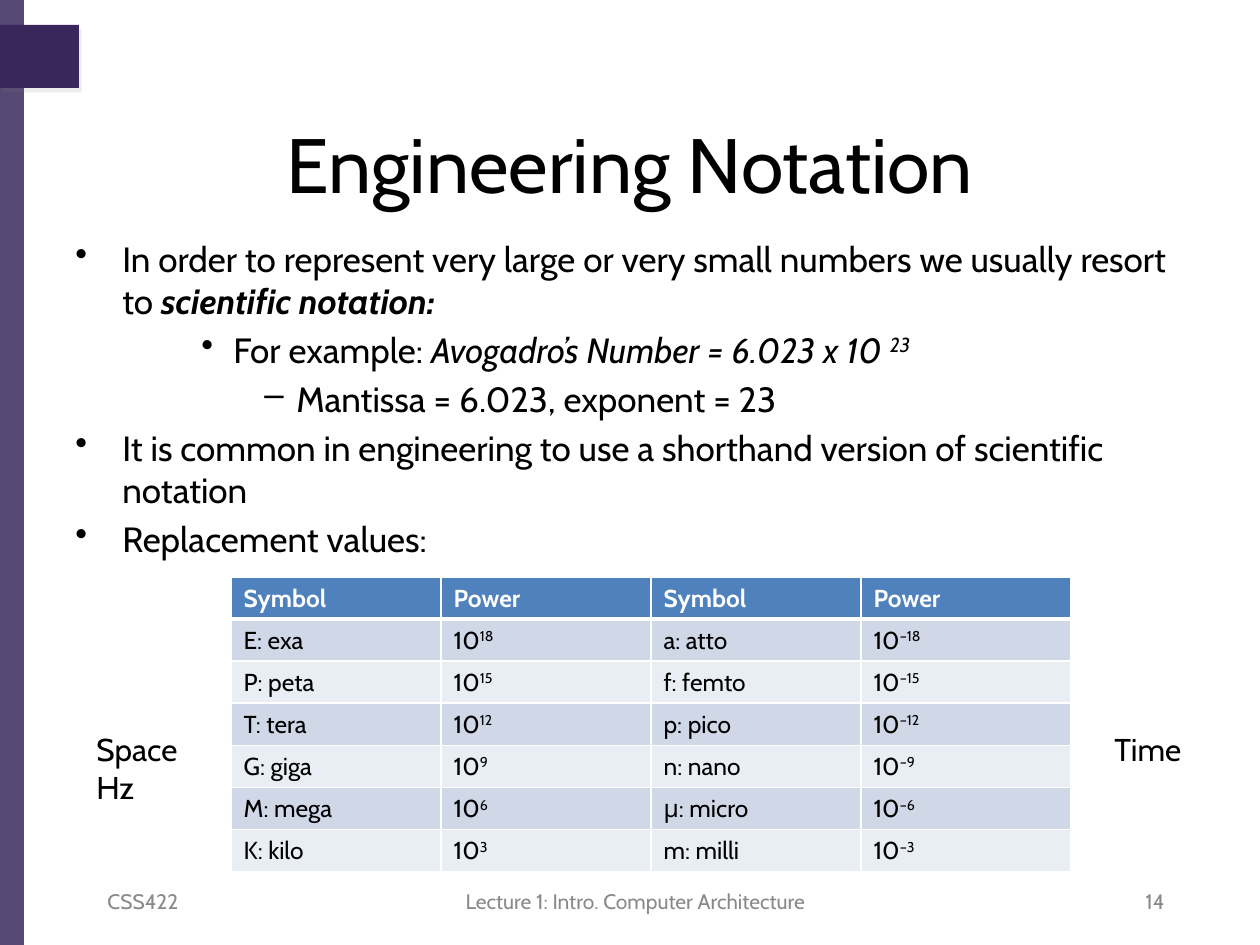
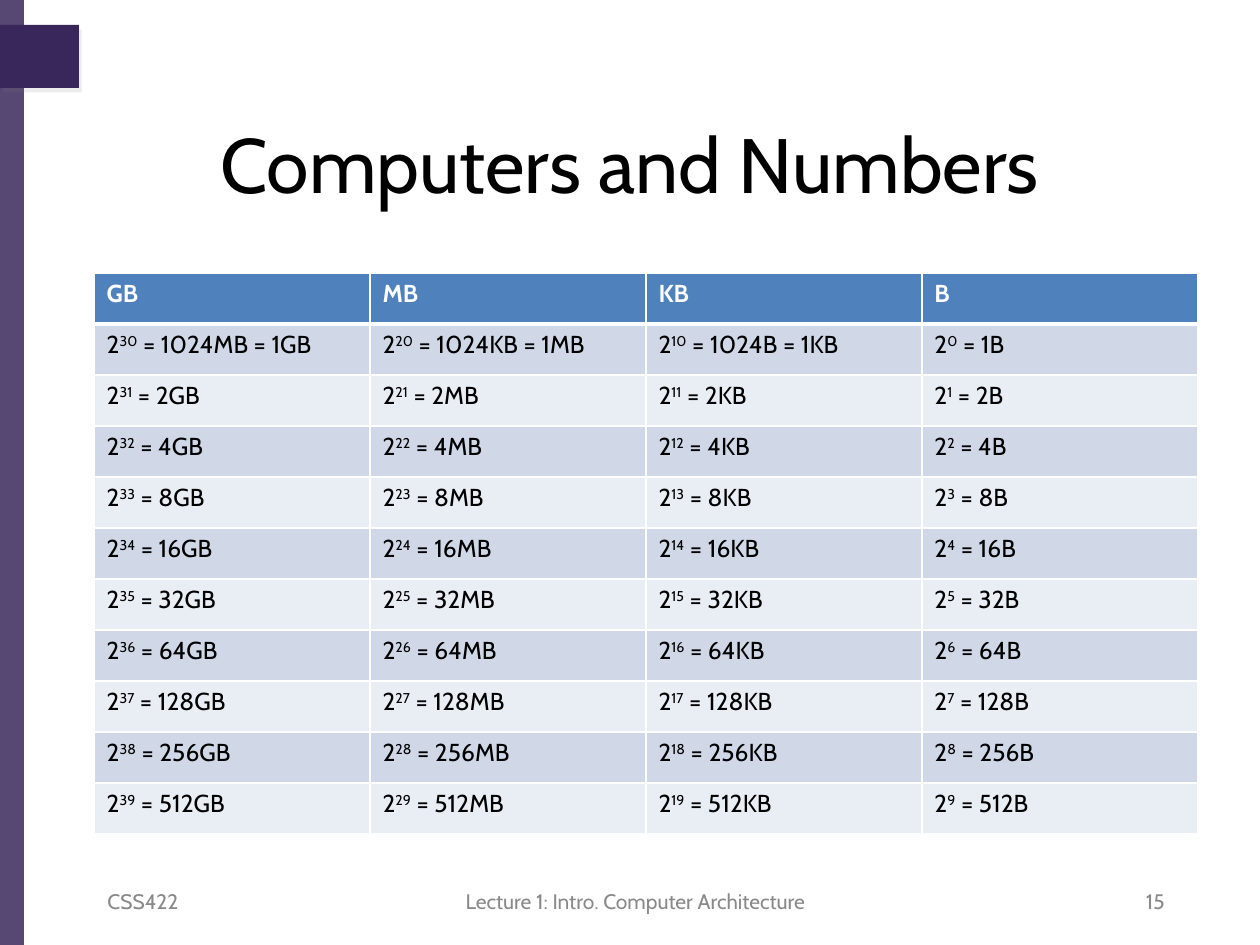
"""Build two lecture slides on engineering notation and powers of two."""
from lxml.etree import SubElement
from pptx import Presentation
from pptx.dml.color import RGBColor
from pptx.enum.shapes import MSO_SHAPE
from pptx.enum.text import MSO_ANCHOR, MSO_AUTO_SIZE, PP_ALIGN
from pptx.oxml.ns import qn
from pptx.util import Emu, Pt

EMU_PER_PX = 914400 / 126
SLIDE_WIDTH, SLIDE_HEIGHT = 1260, 945

FONT = "Cabin"
PURPLE, BLACK, WHITE, GREY = "39275B", "000000", "FFFFFF", "898989"
HEADER_FILL, BAND_FILLS = "4F81BD", ("D0D8E8", "E9EDF4")

TITLE_BOX = (63, 105, 1134, 116)
BODY_BOX = (63, 231, 1134, 346)
FOOTER_TOP, FOOTER_HEIGHT = 876, 50
COURSE, LECTURE = "CSS422", "Lecture 1: Intro. Computer Architecture"

ITALIC = {"italic": True}
BOLD_ITALIC = {"bold": True, "italic": True}
LEVELS = [("•", 47, -47), ("•", 158, -32), ("–", 221, -32)]
NOTATION_POINTS = [
    (0, [("In order to represent very large or very small numbers we usually resort to ", {}),
         ("scientific notation:", BOLD_ITALIC)]),
    (1, [("For example: ", {}), ("Avogadro’s Number = 6.023 x 10 ^23", ITALIC)]),
    (2, [("Mantissa = 6.023, exponent = 23", {})]),
    (0, [("It is common in engineering to use a shorthand version of scientific notation", {})]),
    (0, [("Replacement values:", {})]),
]
SIDE_LABELS = [((84, 724, 116, 90), ["Space", "Hz"]), ((1102, 724, 95, 50), ["Time"])]

PREFIXES = [
    (18, "E: exa", "a: atto"),
    (15, "P: peta", "f: femto"),
    (12, "T: tera", "p: pico"),
    (9, "G: giga", "n: nano"),
    (6, "M: mega", "μ: micro"),
    (3, "K: kilo", "m: milli"),
]
PREFIX_ROWS = [["Symbol", "Power"] * 2] + [
    [large, f"10^{power}^", small, f"10^–{power}^"] for power, large, small in PREFIXES
]

UNITS = [("GB", 30, " = 1024MB"), ("MB", 20, " = 1024KB"), ("KB", 10, " = 1024B"), ("B", 0, "")]
MEMORY_ROWS = [[unit for unit, _, _ in UNITS]] + [
    [f"2^{base + step}^{'' if step else smaller} = {2 ** step}{unit}" for unit, base, smaller in UNITS]
    for step in range(10)
]


def px(length):
    return Emu(round(length * EMU_PER_PX))


def color(value):
    return RGBColor.from_string(value)


def set_attributes(target, values):
    for name, value in values.items():
        setattr(target, name, value)


def add_runs(paragraph, text, size, text_color, styles=None):
    for index, part in enumerate(text.split("^")):
        if not part:
            continue
        run = paragraph.add_run()
        run.text = part
        set_attributes(run.font, {"name": FONT, "size": Pt(size), **(styles or {})})
        run.font.color.rgb = color(text_color)
        if index % 2:
            run.font.size = Pt(size)
            run._r.get_or_add_rPr().set("baseline", "30000")


def add_text(slide, box, lines, size, text_color=BLACK, align=PP_ALIGN.LEFT, **frame_values):
    frame = slide.shapes.add_textbox(*map(px, box)).text_frame
    set_attributes(frame, {"word_wrap": True, **frame_values})
    for index, line in enumerate(lines):
        paragraph = frame.add_paragraph() if index else frame.paragraphs[0]
        paragraph.alignment = align
        add_runs(paragraph, line, size, text_color)


def add_rectangle(slide, box):
    shape = slide.shapes.add_shape(MSO_SHAPE.RECTANGLE, *map(px, box))
    shape.shadow.inherit = False
    shape.fill.solid()
    shape.fill.fore_color.rgb = color(PURPLE)
    shape.line.fill.background()
    return shape


def add_alpha(color_element, percent):
    SubElement(color_element, qn("a:alpha"), val=str(percent * 1000))


def add_frame(slide, title, number):
    band = add_rectangle(slide, (0, 0, 24, SLIDE_HEIGHT))
    add_alpha(band._element.spPr.find(".//" + qn("a:srgbClr")), 85)
    tab = add_rectangle(slide, (0, 25, 79, 63))
    effects = tab._element.spPr.find(qn("a:effectLst"))
    shadow = SubElement(effects, qn("a:outerShdw"), blurRad="0", dist=str(Pt(3)),
                        dir="3600000", rotWithShape="0")
    add_alpha(SubElement(shadow, qn("a:srgbClr"), val="808080"), 15)

    middle = MSO_ANCHOR.MIDDLE
    add_text(slide, TITLE_BOX, [title], 44, align=PP_ALIGN.CENTER, vertical_anchor=middle)
    footers = [(95, 294, COURSE, PP_ALIGN.LEFT), (436, 399, LECTURE, PP_ALIGN.CENTER),
               (883, 294, str(number), PP_ALIGN.RIGHT)]
    for left, width, text, align in footers:
        box = (left, FOOTER_TOP, width, FOOTER_HEIGHT)
        add_text(slide, box, [text], 12, GREY, align, vertical_anchor=middle)


def add_bullets(slide, box, points):
    frame = slide.shapes.add_textbox(*map(px, box)).text_frame
    frame.word_wrap = True
    for index, (level, runs) in enumerate(points):
        paragraph = frame.add_paragraph() if index else frame.paragraphs[0]
        bullet, margin, indent = LEVELS[level]
        properties = paragraph._p.get_or_add_pPr()
        properties.set("marL", str(px(margin)))
        properties.set("indent", str(px(indent)))
        SubElement(properties, qn("a:buChar"), char=bullet)
        set_attributes(paragraph, {"level": level, "space_before": Pt(4 if index else 0)})
        for text, styles in runs:
            add_runs(paragraph, text, 20, BLACK, styles)


def set_borders(cell, row_index):
    properties = cell._tc.get_or_add_tcPr()
    for position, edge in enumerate(("lnL", "lnR", "lnT", "lnB")):
        thick = (row_index, edge) in ((0, "lnB"), (1, "lnT"))
        line = properties.makeelement(qn(f"a:{edge}"), {"w": str(Pt(3 if thick else 1))})
        SubElement(SubElement(line, qn("a:solidFill")), qn("a:srgbClr"), val=WHITE)
        properties.insert(position, line)


def add_grid(slide, left, top, column_width, row_height, rows):
    row_count, column_count = len(rows), len(rows[0])
    table = slide.shapes.add_table(row_count, column_count, px(left), px(top),
                                   px(column_width * column_count), px(row_height * row_count)).table
    for column in table.columns:
        column.width = px(column_width)
    for row_index, texts in enumerate(rows):
        header = row_index == 0
        table.rows[row_index].height = px(row_height)
        for column_index, text in enumerate(texts):
            cell = table.cell(row_index, column_index)
            cell.fill.solid()
            cell.fill.fore_color.rgb = color(HEADER_FILL if header else BAND_FILLS[(row_index - 1) % 2])
            set_borders(cell, row_index)
            add_runs(cell.text_frame.paragraphs[0], text, 14, WHITE if header else BLACK, {"bold": header})


def main():
    presentation = Presentation()
    set_attributes(presentation, {"slide_width": px(SLIDE_WIDTH), "slide_height": px(SLIDE_HEIGHT)})
    blank = presentation.slide_layouts[6]

    notation = presentation.slides.add_slide(blank)
    add_frame(notation, "Engineering Notation", 14)
    add_bullets(notation, BODY_BOX, NOTATION_POINTS)
    add_grid(notation, 231, 577, 210, 42, PREFIX_ROWS)
    for box, lines in SIDE_LABELS:
        add_text(notation, box, lines, 18, word_wrap=False, auto_size=MSO_AUTO_SIZE.SHAPE_TO_FIT_TEXT)

    memory = presentation.slides.add_slide(blank)
    add_frame(memory, "Computers and Numbers", 15)
    add_grid(memory, 94, 273, 276, 51, MEMORY_ROWS)

    presentation.save("out.pptx")


if __name__ == "__main__":
    main()
